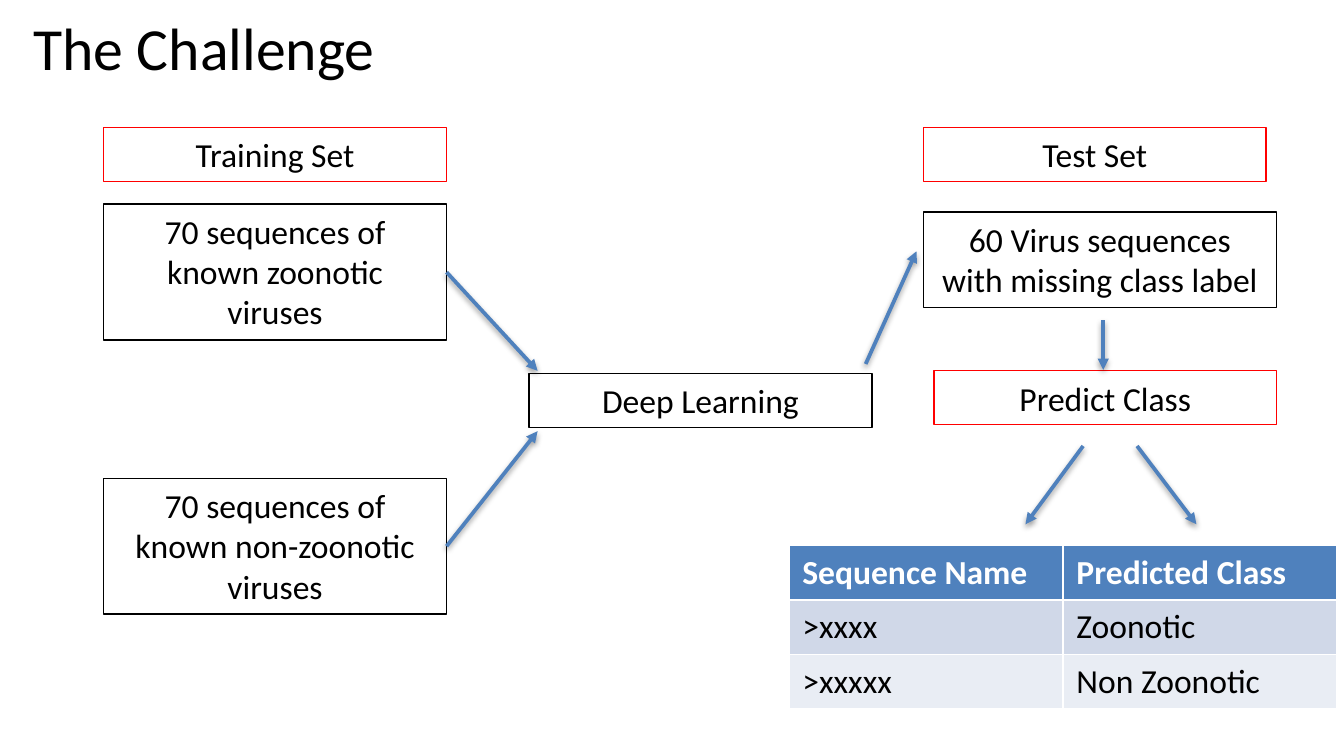
from lxml import etree
from pptx import Presentation
from pptx.dml.color import RGBColor
from pptx.enum.shapes import MSO_CONNECTOR, MSO_SHAPE
from pptx.enum.text import MSO_ANCHOR, PP_ALIGN
from pptx.oxml import parse_xml
from pptx.util import Cm, Pt

BLACK = RGBColor(0x00, 0x00, 0x00)
WHITE = RGBColor(0xFF, 0xFF, 0xFF)
RED = RGBColor(0xFF, 0x00, 0x00)
BLUE = RGBColor(0x4F, 0x81, 0xBD)
BANDS = [RGBColor(0xD0, 0xD8, 0xE8), RGBColor(0xE9, 0xED, 0xF4)]

RECT = MSO_SHAPE.RECTANGLE
LINE = MSO_CONNECTOR.STRAIGHT
LEFT, CENTER = PP_ALIGN.LEFT, PP_ALIGN.CENTER
MIDDLE, TOP = MSO_ANCHOR.MIDDLE, MSO_ANCHOR.TOP
RIGHT_SIDE = 3

NS = "http://schemas.openxmlformats.org/drawingml/2006/main"
SHADOW = (
    f'<a:effectLst xmlns:a="{NS}">'
    '<a:outerShdw blurRad="40000" dist="20000" dir="5400000" rotWithShape="0">'
    '<a:srgbClr val="000000"><a:alpha val="38000"/></a:srgbClr>'
    "</a:outerShdw></a:effectLst>"
)


class Deck:
    font = "Calibri"
    size = 18

    def __init__(self, wide, high):
        self.prs = Presentation()
        self.prs.slide_width, self.prs.slide_height = Cm(wide), Cm(high)
        self.slide = self.prs.slides.add_slide(self.prs.slide_layouts[6])

    def label(self, frame, text, align=LEFT, color=BLACK, **style):
        para = frame.paragraphs[0]
        para.alignment = align
        run = para.add_run()
        run.text = text
        look = {"name": self.font, "size": Pt(self.size), "bold": False}
        for key, value in {**look, **style}.items():
            setattr(run.font, key, value)
        run.font.color.rgb = color

    def title(self, text, x, y, w, h):
        box = self.slide.shapes.add_textbox(Cm(x), Cm(y), Cm(w), Cm(h))
        frame = box.text_frame
        frame.word_wrap = True
        frame.vertical_anchor = MIDDLE
        self.label(frame, text, size=Pt(32))

    def box(self, text, x, y, w, h, edge=BLACK):
        shape = self.slide.shapes.add_shape(RECT, Cm(x), Cm(y), Cm(w), Cm(h))
        shape.shadow.inherit = False
        shape.fill.background()
        shape.line.color.rgb = edge
        shape.line.width = Pt(0.75)
        shape.text_frame.word_wrap = True
        shape.text_frame.vertical_anchor = TOP
        self.label(shape.text_frame, text, CENTER)
        return shape

    def arrow(self, x1, y1, x2, y2, source=None):
        line = self.slide.shapes.add_connector(
            LINE, Cm(x1), Cm(y1), Cm(x2), Cm(y2))
        if source is not None:
            line.begin_connect(source, RIGHT_SIDE)
        line.line.color.rgb = BLUE
        line.line.width = Pt(2)
        props = line._element.spPr
        tail = etree.SubElement(props.find(f"{{{NS}}}ln"), f"{{{NS}}}tailEnd")
        tail.set("type", "triangle")
        props.append(parse_xml(SHADOW))

    def table(self, rows, x, y, col, row):
        count, cols = len(rows), len(rows[0])
        grid = self.slide.shapes.add_table(
            count, cols, Cm(x), Cm(y), Cm(col * cols), Cm(row * count)).table
        for r, texts in enumerate(rows):
            for c, text in enumerate(texts):
                cell = grid.cell(r, c)
                head = r == 0
                cell.fill.solid()
                cell.fill.fore_color.rgb = BLUE if head else BANDS[(r - 1) % 2]
                self.label(cell.text_frame, text, bold=head,
                           color=WHITE if head else BLACK)


def main():
    deck = Deck(25.4, 14.29)
    deck.title("The Challenge", 0.38, 0.23, 19.84, 1.32)

    # Training side, model and test side
    left, right, wide, low, tall = 1.96, 17.45, 6.48, 1.02, 2.57
    known = deck.box("70 sequences of known zoonotic viruses",
                     left, 3.86, wide, tall)
    other = deck.box("70 sequences of known non-zoonotic viruses",
                     left, 9.04, wide, tall)
    deck.box("Deep Learning", 10, 7.06, wide, low)
    for text, x in (("Training Set", left), ("Test Set", right)):
        deck.box(text, x, 2.41, wide, low, RED)
    deck.box("60 Virus sequences with missing class label",
             right, 4.01, 6.68, 1.8)
    deck.box("Predict Class", 17.65, 7.01, wide, low, RED)

    # Arrows into the model
    edge = left + wide
    deck.arrow(edge, 5.15, 10.16, 7.01, known)
    deck.arrow(edge, 10.32, 10.16, 8.15, other)

    # Arrows from the model to the prediction
    for ends in ((16.36, 6.88, 17.32, 4.75), (20.85, 6.05, 20.85, 6.99),
                 (20.47, 8.43, 19.38, 9.91), (21.49, 8.43, 22.61, 9.91)):
        deck.arrow(*ends)

    # Predicted classes
    deck.table([("Sequence Name", "Predicted Class"),
                (">xxxx", "Zoonotic"),
                (">xxxxx", "Non Zoonotic")], 14.91, 10.31, 5.18, 1.03)

    deck.prs.save("out.pptx")


if __name__ == "__main__":
    main()
